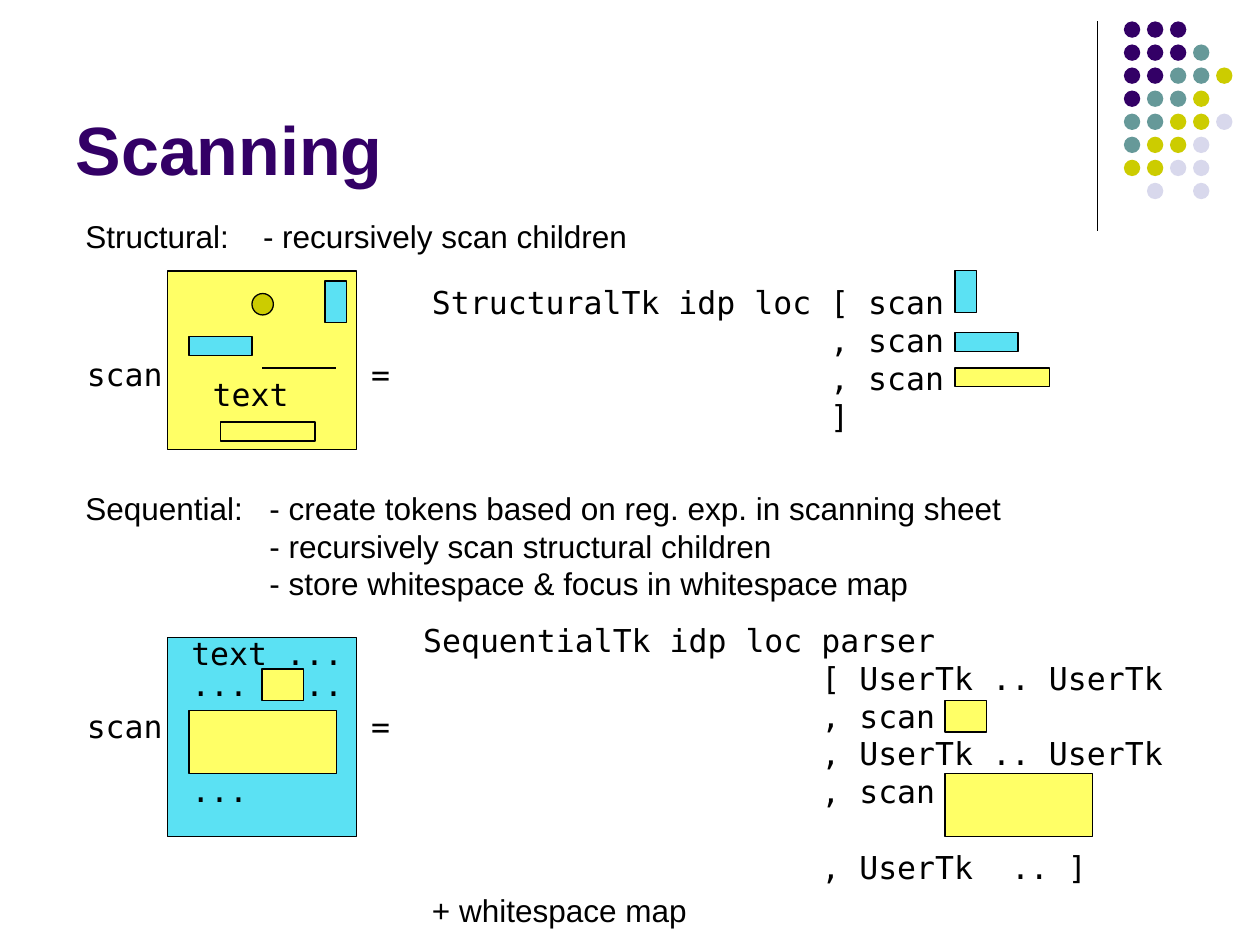
from lxml import etree
from pptx import Presentation
from pptx.dml.color import RGBColor
from pptx.enum.shapes import MSO_CONNECTOR, MSO_SHAPE
from pptx.enum.text import MSO_ANCHOR, PP_ALIGN
from pptx.oxml.ns import qn
from pptx.util import Inches, Pt

RECT, OVAL = MSO_SHAPE.RECTANGLE, MSO_SHAPE.OVAL
STRAIGHT = MSO_CONNECTOR.STRAIGHT
LEFT, BOTTOM = PP_ALIGN.LEFT, MSO_ANCHOR.BOTTOM

COLORS = {"purple": "330066", "teal": "669999", "olive": "CCCC00", "pale": "D8D8EC",
          "cyan": "5BE1F3", "yellow": "FFFF66", "black": "000000"}
SANS, MONO = "Arial", "DejaVu Sans Mono"
TEXT_SIZE, LINE_PITCH = 18, 21.6
MONO_WIDTH = 0.1505  # one character at text size, in inches

# Corner ornament: one letter per dot
DOT_ROWS = ["PPP", "PPPT", "PPTTY", "PTTY", "TTYYL", "TYYL", "YYLL", " L L"]
DOT_COLORS = {"P": "purple", "T": "teal", "Y": "olive", "L": "pale"}
DOT_LEFT, DOT_TOP, DOT_PITCH, DOT_SIZE = 8.92, 0.17, 0.183, 0.13

# Kinds of child token: shape, fill, width, height
TOKENS = {
    "structural": (RECT, "yellow", 1.5, 1.42),
    "sequential": (RECT, "cyan", 1.5, 1.58),
    "upright": (RECT, "cyan", 0.17, 0.33),
    "bar": (RECT, "cyan", 0.5, 0.15),
    "long bar": (RECT, "yellow", 0.75, 0.15),
    "small": (RECT, "yellow", 0.33, 0.25),
    "large": (RECT, "yellow", 1.17, 0.5),
    "circle": (OVAL, "olive", 0.17, 0.17),
}
PLACED_TOKENS = [
    # Scanned presentations, each followed by its children
    ("structural", 1.33, 2.15), ("upright", 2.58, 2.23), ("bar", 1.5, 2.67),
    ("long bar", 1.75, 3.35), ("circle", 2, 2.33),
    ("sequential", 1.33, 5.06), ("small", 2.08, 5.31), ("large", 1.5, 5.64),
    # Children in the results
    ("upright", 7.58, 2.15), ("bar", 7.58, 2.64), ("long bar", 7.58, 2.92),
    ("small", 7.5, 5.56), ("large", 7.5, 6.14),
]
RULES = [(8.71, 0.17, 8.71, 1.83), (2.08, 2.92, 2.67, 2.92)]

# Texts: left, top, width, font, tab stop and later-line indent, lines ("" skips a row)
CODE_INDENT = 21 * MONO_WIDTH
SCAN = (MONO, 15 * MONO_WIDTH, ["scan\t="])
TEXTS = [
    (0.58, 1.67, 4.5, SANS, 1.41, ["Structural:\t- recursively scan children"]),
    (0.59, 2.77, 2.61, *SCAN),
    (1.59, 2.93, 0.8, MONO, 0, ["text"]),
    (3.33, 2.2, 4.41, MONO, CODE_INDENT,
     ["StructuralTk idp loc [ scan", ", scan", ", scan", "]"]),
    (0.58, 3.83, 7.47, SANS, 1.46,
     ["Sequential:\t- create tokens based on reg. exp. in scanning sheet",
      "- recursively scan structural children",
      "- store whitespace & focus in whitespace map"]),
    (0.59, 5.56, 2.61, *SCAN),
    (1.42, 4.98, 1.83, MONO, 0, ["text ..."]),
    (1.42, 5.23, 2, MONO, 6 * MONO_WIDTH, ["...\t.."]),
    (1.42, 6.07, 1.83, MONO, 0, ["..."]),
    (3.26, 4.88, 6.22, MONO, CODE_INDENT,
     ["SequentialTk idp loc parser", "[ UserTk .. UserTk", ", scan",
      ", UserTk .. UserTk", ", scan", "", ", UserTk  .. ]"]),
    (3.33, 7.02, 2.22, SANS, 0, ["+ whitespace map"]),
]


def rgb(name):
    return RGBColor.from_string(COLORS[name])


def set_font(font, **values):
    font.color.rgb = rgb(values.pop("color"))
    for key, value in values.items():
        setattr(font, key, value)


def add_token(page, kind, left, top, width, height, fill, outlined=True):
    shape = page.shapes.add_shape(kind, *map(Inches, (left, top, width, height)))
    shape.shadow.inherit = False
    shape.fill.solid()
    shape.fill.fore_color.rgb = rgb(fill)
    if outlined:
        shape.line.color.rgb = rgb("black")
        shape.line.width = Pt(0.75)
    else:
        shape.line.fill.background()


def add_rule(page, *ends):
    rule = page.shapes.add_connector(STRAIGHT, *map(Inches, ends))
    rule.line.color.rgb = rgb("black")
    rule.line.width = Pt(0.75)
    etree.SubElement(rule._element.spPr, qn("a:effectLst"))


def add_text(page, left, top, width, font, indent, lines):
    height = 0.1 + len(lines) * LINE_PITCH / 72
    box = page.shapes.add_textbox(*map(Inches, (left, top, width, height)))
    box.text_frame.word_wrap = False
    gap = 0
    for index, line in enumerate(lines):
        if not line:
            gap += LINE_PITCH
            continue
        para = box.text_frame.add_paragraph() if index else box.text_frame.paragraphs[0]
        para.alignment = LEFT
        para.line_spacing, para.space_before = Pt(LINE_PITCH), Pt(gap)
        gap = 0
        properties = para._p.get_or_add_pPr()
        if index:
            properties.set("marL", str(Inches(indent)))
        elif "\t" in line:
            stops = etree.SubElement(properties, qn("a:tabLst"))
            etree.SubElement(stops, qn("a:tab"), pos=str(Inches(indent)), algn="l")
        span = para.add_run()
        span.text = line
        set_font(span.font, name=font, size=Pt(TEXT_SIZE), color="black")


def add_title(page, text):
    title = page.shapes.title
    frame = {"left": 0.5, "top": 0.13, "width": 8.25, "height": 1.42}
    for key, value in frame.items():
        setattr(title, key, Inches(value))
    title.text_frame.text = text
    title.text_frame.vertical_anchor = BOTTOM
    para = title.text_frame.paragraphs[0]
    para.alignment = LEFT
    set_font(para.runs[0].font, name=SANS, size=Pt(39), bold=True, color="purple")


def main():
    deck = Presentation()
    deck.slide_width, deck.slide_height = Inches(10), Inches(7.5)
    page = deck.slides.add_slide(deck.slide_layouts[5])
    add_title(page, "Scanning")

    # Dot ornament
    for row, letters in enumerate(DOT_ROWS):
        for column, letter in enumerate(letters):
            if letter in DOT_COLORS:
                add_token(page, OVAL, DOT_LEFT + column * DOT_PITCH,
                          DOT_TOP + row * DOT_PITCH, DOT_SIZE, DOT_SIZE,
                          DOT_COLORS[letter], outlined=False)

    # Tokens, rules and texts
    for name, left, top in PLACED_TOKENS:
        kind, fill, width, height = TOKENS[name]
        add_token(page, kind, left, top, width, height, fill)
    for ends in RULES:
        add_rule(page, *ends)
    for text in TEXTS:
        add_text(page, *text)

    deck.save("out.pptx")


if __name__ == "__main__":
    main()
